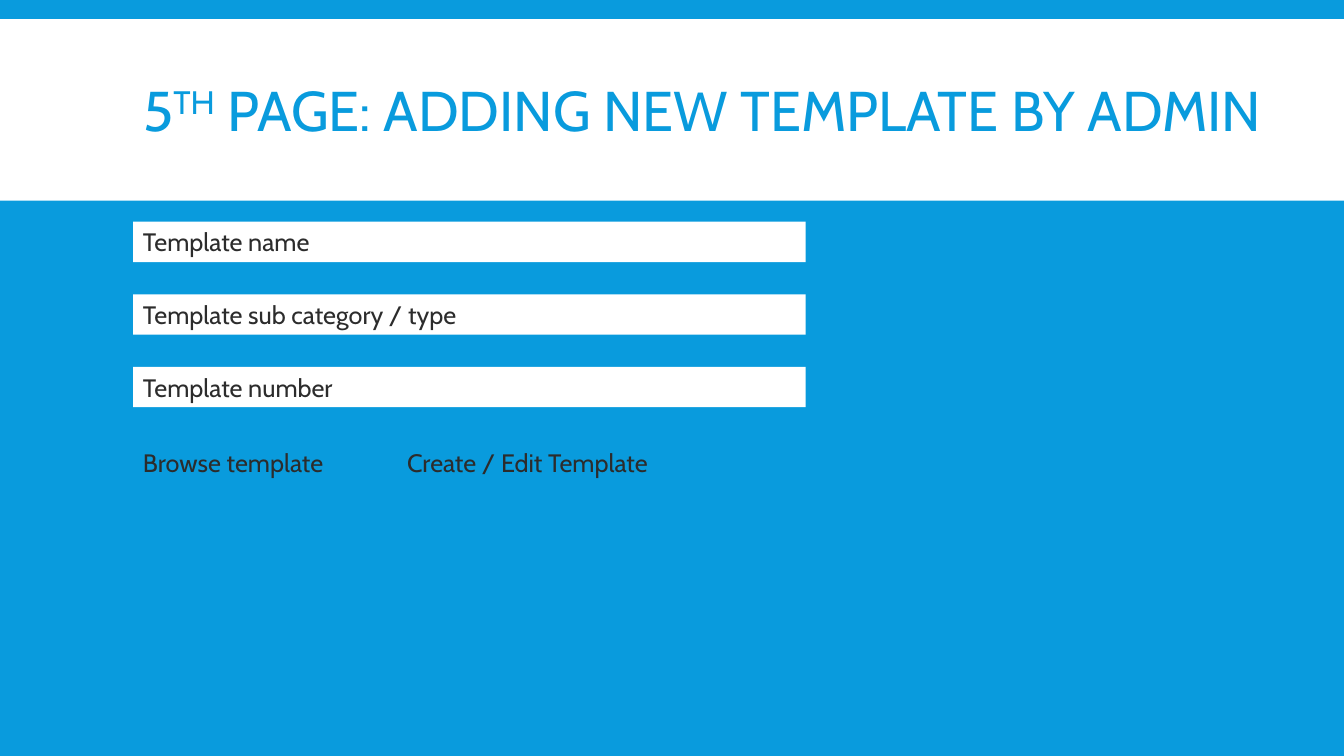
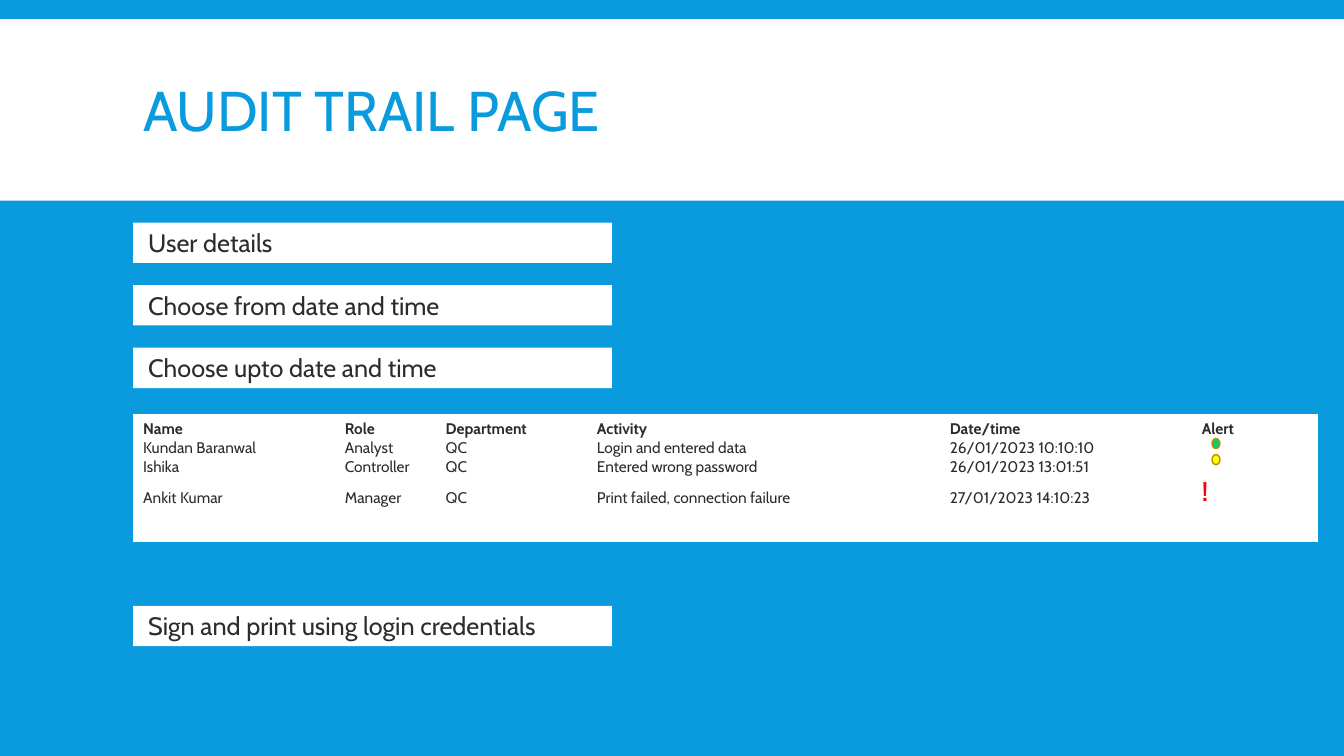
from dataclasses import dataclass

from pptx import Presentation
from pptx.dml.color import RGBColor
from pptx.enum import shapes, text
from pptx.util import Inches, Pt


@dataclass(frozen=True)
class Theme:
    font: str = "Cabin"
    blue: RGBColor = RGBColor(0x09, 0x9B, 0xDD)
    white: RGBColor = RGBColor(0xFF, 0xFF, 0xFF)
    ink: RGBColor = RGBColor(0x2C, 0x2C, 0x2C)
    red: RGBColor = RGBColor(0xFF, 0x00, 0x00)
    green: RGBColor = RGBColor(0x08, 0xCC, 0x78)
    yellow: RGBColor = RGBColor(0xFF, 0xFF, 0x00)
    outline: RGBColor = RGBColor(0xBD, 0x8E, 0x00)
    title_size: int = 40
    body_size: int = 18
    table_size: int = 11


THEME = Theme()
LEFT = 1.32
FIELD_HEIGHT = 0.4

AUDIT_ROWS = [
    ("Name", "Role", "Department", "Activity", "Date/time", "Alert"),
    ("Kundan Baranwal", "Analyst", "QC", "Login and entered data",
     "26/01/2023 10:10:10", ""),
    ("Ishika", "Controller", "QC", "Entered wrong password",
     "26/01/2023 13:01:51", ""),
    ("Ankit Kumar", "Manager", "QC", "Print failed, connection failure",
     "27/01/2023 14:10:23", "!"),
]
AUDIT_WIDTHS = (2, 1, 1.5, 3.5, 2.5, 1.25)
AUDIT_HEIGHTS = (0.24, 0.19, 0.19, 0.64)
AUDIT_BOTTOM_MARGIN = 0.34


def style_run(run, size, color, bold=False):
    run.font.name = THEME.font
    run.font.size = Pt(size)
    run.font.color.rgb = color
    run.font.bold = bold


def add_filled_shape(slide, kind, left, top, width, height, color):
    shape = slide.shapes.add_shape(
        kind, Inches(left), Inches(top), Inches(width), Inches(height))
    shape.shadow.inherit = False
    shape.fill.solid()
    shape.fill.fore_color.rgb = color
    shape.line.fill.background()
    return shape


def set_up_master(presentation, slide):
    """Put the blue background and the white title band on the master."""
    master = presentation.slide_master
    master.background.fill.solid()
    master.background.fill.fore_color.rgb = THEME.blue
    band = add_filled_shape(slide, shapes.MSO_SHAPE.RECTANGLE,
                            0, 0.19, 13.33, 1.8, THEME.white)
    master.shapes._spTree.insert(2, band._element)


def set_title(slide, parts, width):
    """Fill the title with (wording, is_superscript) parts."""
    title = slide.shapes.title
    title.left, title.top = Inches(LEFT), Inches(0.31)
    title.width, title.height = Inches(width), Inches(1.65)
    frame = title.text_frame
    frame.word_wrap = True
    frame.auto_size = text.MSO_AUTO_SIZE.NONE
    frame.vertical_anchor = text.MSO_ANCHOR.MIDDLE
    paragraph = frame.paragraphs[0]
    paragraph.alignment = text.PP_ALIGN.LEFT
    paragraph.line_spacing = 0.85
    for wording, is_superscript in parts:
        run = paragraph.add_run()
        run.text = wording
        style_run(run, THEME.title_size, THEME.blue)
        if is_superscript:
            run.font._element.set("baseline", "30000")


def write_label(shape, wording, inset=0.1):
    frame = shape.text_frame
    frame.word_wrap = True
    frame.margin_left = Inches(inset)
    frame.vertical_anchor = text.MSO_ANCHOR.TOP
    frame.text = wording
    paragraph = frame.paragraphs[0]
    paragraph.alignment = text.PP_ALIGN.LEFT
    style_run(paragraph.runs[0], THEME.body_size, THEME.ink)


def add_field(slide, wording, top, width, inset=0.1):
    field = add_filled_shape(slide, shapes.MSO_SHAPE.RECTANGLE,
                             LEFT, top, width, FIELD_HEIGHT, THEME.white)
    write_label(field, wording, inset)


def add_action(slide, wording, left):
    action = slide.shapes.add_textbox(
        Inches(left), Inches(4.39), Inches(2.86), Inches(FIELD_HEIGHT))
    write_label(action, wording)


def fill_cell(cell, wording, is_header, is_last):
    cell.fill.solid()
    cell.fill.fore_color.rgb = THEME.white
    cell.margin_top = 0
    cell.margin_bottom = Inches(AUDIT_BOTTOM_MARGIN if is_last else 0)
    cell.margin_left, cell.margin_right = Inches(0.1), 0
    cell.vertical_anchor = text.MSO_ANCHOR.BOTTOM
    cell.text_frame.text = wording
    paragraph = cell.text_frame.paragraphs[0]
    # An empty cell takes its line height from the end-of-paragraph size.
    paragraph._p.get_or_add_endParaRPr().set("sz", str(THEME.table_size * 100))
    for run in paragraph.runs:
        if wording == "!":
            style_run(run, THEME.body_size, THEME.red, bold=True)
        else:
            style_run(run, THEME.table_size, THEME.ink, bold=is_header)


def add_audit_table(slide):
    table = slide.shapes.add_table(
        len(AUDIT_ROWS), len(AUDIT_WIDTHS), Inches(LEFT), Inches(4.11),
        Inches(sum(AUDIT_WIDTHS)), Inches(sum(AUDIT_HEIGHTS))).table
    table.first_row = table.horz_banding = False
    for column, width in zip(table.columns, AUDIT_WIDTHS):
        column.width = Inches(width)
    last = len(AUDIT_ROWS) - 1
    for index, wordings in enumerate(AUDIT_ROWS):
        row = table.rows[index]
        row.height = Inches(AUDIT_HEIGHTS[index])
        for cell, wording in zip(row.cells, wordings):
            fill_cell(cell, wording, index == 0, index == last)


def add_alert_dot(slide, top, color):
    dot = add_filled_shape(slide, shapes.MSO_SHAPE.OVAL,
                           12.02, top, 0.08, 0.1, color)
    dot.line.color.rgb = THEME.outline
    dot.line.width = Pt(1)


def build_template_slide(slide):
    set_title(slide, [("5", False), ("TH", True),
                      (" PAGE: ADDING NEW TEMPLATE BY ADMIN", False)], 11.41)
    fields = ("Template name", "Template sub category / type",
              "Template number")
    for index, wording in enumerate(fields):
        add_field(slide, wording, 2.2 + 0.72 * index, 6.67)
    add_action(slide, "Browse template", LEFT)
    add_action(slide, "Create / Edit Template", 3.94)


def build_audit_slide(slide):
    set_title(slide, [("AUDIT TRAIL PAGE", False)], 10.7)
    fields = ("User details", "Choose from date and time",
              "Choose upto date and time")
    for index, wording in enumerate(fields):
        add_field(slide, wording, 2.21 + 0.62 * index, 4.75, inset=0.15)
    add_audit_table(slide)
    add_alert_dot(slide, 4.35, THEME.green)
    add_alert_dot(slide, 4.51, THEME.yellow)
    add_field(slide, "Sign and print using login credentials",
              6.01, 4.75, inset=0.15)


def main():
    presentation = Presentation()
    presentation.slide_width = Inches(13.33)
    presentation.slide_height = Inches(7.5)
    title_only = presentation.slide_layouts[5]
    template_slide = presentation.slides.add_slide(title_only)
    set_up_master(presentation, template_slide)
    build_template_slide(template_slide)
    build_audit_slide(presentation.slides.add_slide(title_only))
    presentation.save("out.pptx")


if __name__ == "__main__":
    main()
